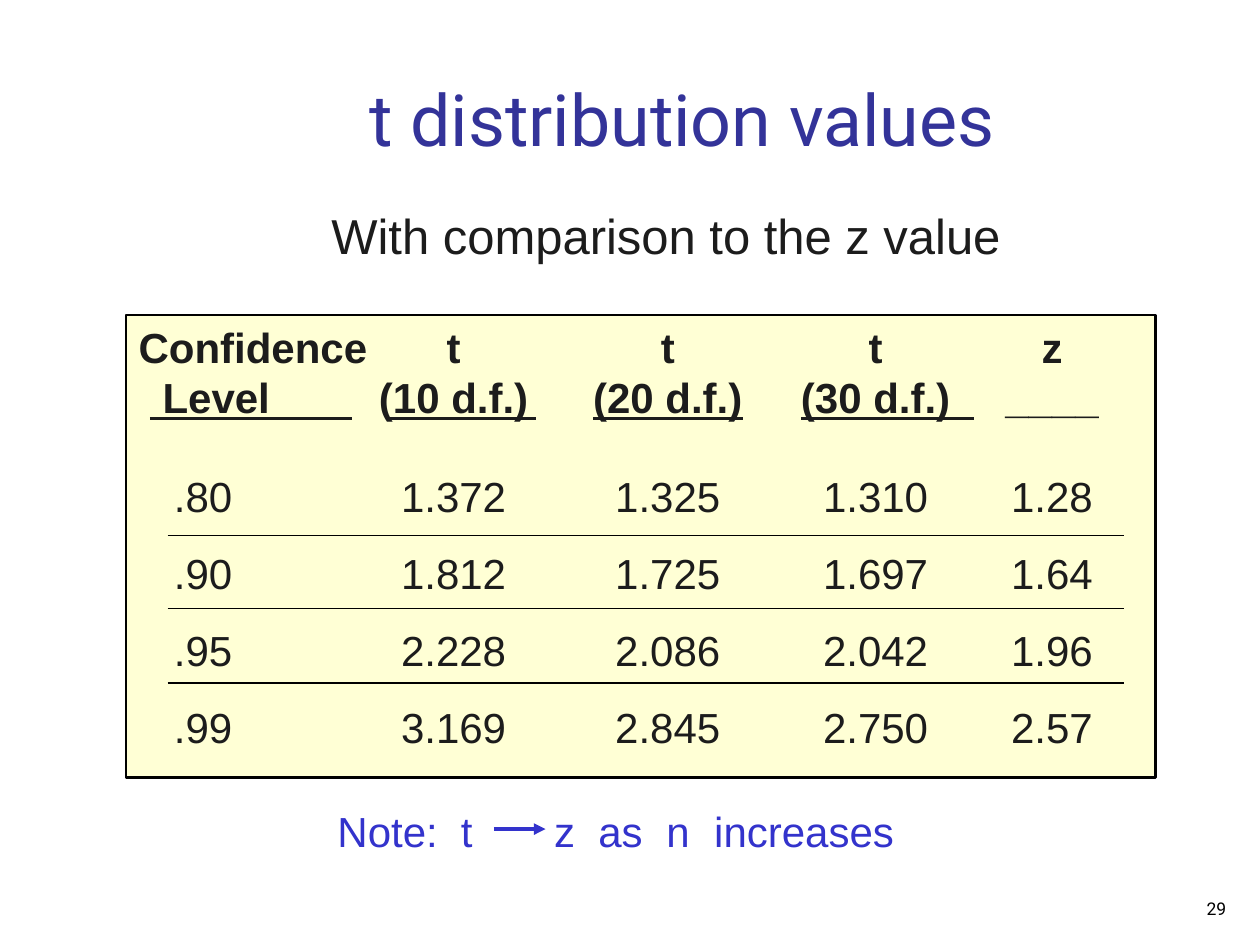
"""Build a slide comparing t distribution values with the z value."""
from dataclasses import dataclass

from lxml import etree
from pptx import Presentation
from pptx.dml.color import RGBColor
from pptx.enum import shapes, text
from pptx.oxml.ns import qn
from pptx.util import Inches, Pt


@dataclass(frozen=True)
class Theme:
    title: RGBColor = RGBColor(0x33, 0x33, 0x99)
    body: RGBColor = RGBColor(0x1C, 0x1C, 0x1C)
    note: RGBColor = RGBColor(0x33, 0x33, 0xCC)
    black: RGBColor = RGBColor(0, 0, 0)
    panel: RGBColor = RGBColor(0xFF, 0xFF, 0xD5)
    heading_font: str = "Roboto"
    body_font: str = "Arial"
    title_size: int = 41
    subtitle_size: int = 28
    body_size: int = 24
    number_size: int = 10


T = Theme()
LEFT, CENTER, RIGHT = text.PP_ALIGN.LEFT, text.PP_ALIGN.CENTER, text.PP_ALIGN.RIGHT


def write(tf, words, font, size, color, align, bold=False):
    p = tf.paragraphs[0]
    p.text = words
    p.alignment = align
    p.font.name, p.font.size, p.font.bold = font, Pt(size), bold
    p.font.color.rgb = color
    return p


def add_line(x1, x2, y, color, width):
    line = s.shapes.add_connector(
        shapes.MSO_CONNECTOR.STRAIGHT, Inches(x1), Inches(y), Inches(x2), Inches(y))
    line.line.color.rgb = color
    line.line.width = Pt(width)
    etree.SubElement(line._element.spPr, qn("a:effectLst"))
    return line


prs = Presentation()
prs.slide_width, prs.slide_height = Inches(10), Inches(7.5)
s = prs.slides.add_slide(prs.slide_layouts[5])

title = s.shapes.title
title.left, title.top = Inches(2.08), Inches(0.5)
title.width, title.height = Inches(6.67), Inches(0.83)
title.text_frame.vertical_anchor = text.MSO_ANCHOR.BOTTOM
write(title.text_frame, "t distribution values", T.heading_font, T.title_size, T.title, CENTER)

sp = s.shapes.add_textbox(Inches(2.53), Inches(1.58), Inches(5.51), Inches(0.57))
sp.text_frame.word_wrap = False
write(sp.text_frame, "With comparison to the z value",
      T.body_font, T.subtitle_size, T.body, CENTER)

panel = s.shapes.add_shape(
    shapes.MSO_SHAPE.RECTANGLE, Inches(1), Inches(2.5), Inches(8.17), Inches(3.67))
panel.shadow.inherit = False
panel.fill.solid()
panel.fill.fore_color.rgb = T.panel
panel.line.color.rgb = T.black
panel.line.width = Pt(1.5)

rows = [
    ["Confidence", "t", "t", "t", "z"],
    ["Level", "(10 d.f.)", "(20 d.f.)", "(30 d.f.)", "____"],
    [".80", "1.372", "1.325", "1.310", "1.28"],
    [".90", "1.812", "1.725", "1.697", "1.64"],
    [".95", "2.228", "2.086", "2.042", "1.96"],
    [".99", "3.169", "2.845", "2.750", "2.57"],
]
col_widths = [1.93, 1.34, 2.06, 1.24, 1.56]
row_heights = [0.4, 0.67] + [0.61] * 4
indents = [0.1, 0.29] + [0.38] * 4

frame = s.shapes.add_table(len(rows), len(col_widths), Inches(1), Inches(2.58),
                           Inches(sum(col_widths)), Inches(sum(row_heights)))
table = frame.table
table.first_row = table.horz_banding = False
for column, width in zip(table.columns, col_widths):
    column.width = Inches(width)
for i, (values, height, indent) in enumerate(zip(rows, row_heights, indents)):
    table.rows[i].height = Inches(height)
    header = i < 2
    for j, value in enumerate(values):
        cell = table.cell(i, j)
        cell.margin_left = Inches(0 if j else indent)
        cell.margin_right = cell.margin_top = cell.margin_bottom = 0
        cell.vertical_anchor = text.MSO_ANCHOR.TOP if header else text.MSO_ANCHOR.MIDDLE
        write(cell.text_frame, value, T.body_font, T.body_size, T.body,
              CENTER if j else LEFT, header)
        for side in ("a:lnL", "a:lnR", "a:lnT", "a:lnB"):
            border = etree.SubElement(cell._tc.get_or_add_tcPr(), qn(side))
            etree.SubElement(border, qn("a:noFill"))
        cell.fill.background()

for x1, x2 in [(1.19, 2.79), (3.06, 4.25), (4.71, 5.9), (6.36, 7.73)]:
    add_line(x1, x2, 3.32, T.body, 1.5)
for y in (4.25, 4.83, 5.42):
    add_line(1.33, 8.92, y, T.black, 0.75)

sp = s.shapes.add_textbox(Inches(2.58), Inches(6.42), Inches(4.83), Inches(0.42))
sp.text_frame.word_wrap = True
p = sp.text_frame.paragraphs[0]
tabs = etree.SubElement(p._p.get_or_add_pPr(), qn("a:tabLst"))
for stop in (0.98, 1.72, 2.07, 2.61, 2.99):
    etree.SubElement(tabs, qn("a:tab"), pos=str(Inches(stop)), algn="l")
write(sp.text_frame, "Note:\tt\tz\tas\tn\tincreases", T.body_font, T.body_size, T.note, LEFT)
p.line_spacing = 0.8

arrow = add_line(3.92, 4.33, 6.58, T.note, 2.25)
etree.SubElement(arrow.line._get_or_add_ln(), qn("a:tailEnd"), type="triangle")

sp = s.shapes.add_textbox(Inches(7.75), Inches(7), Inches(2.08), Inches(0.34))
sp.text_frame.word_wrap = True
sp.text_frame.vertical_anchor = text.MSO_ANCHOR.BOTTOM
write(sp.text_frame, "29", T.heading_font, T.number_size, T.black, RIGHT)

prs.save("out.pptx")
